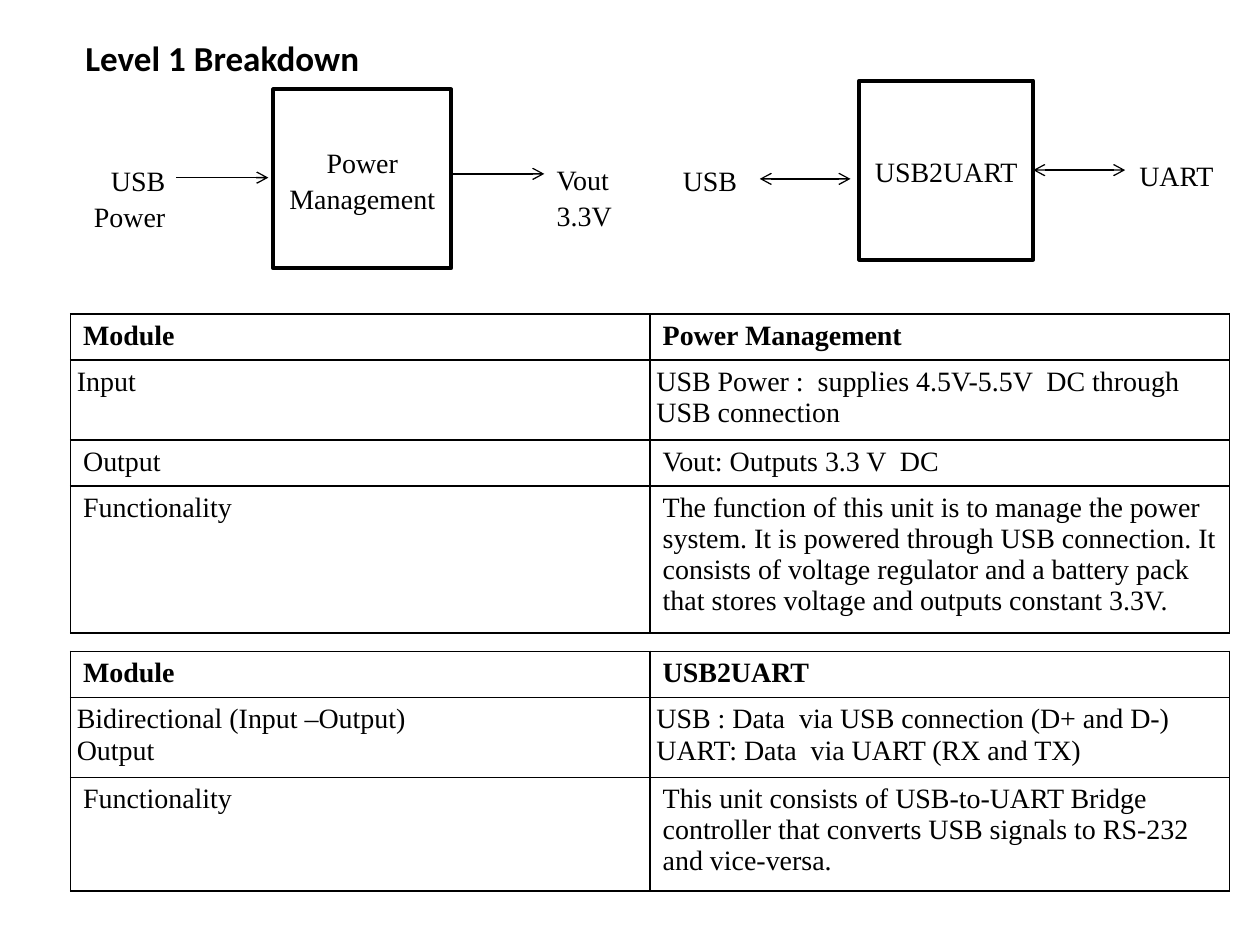
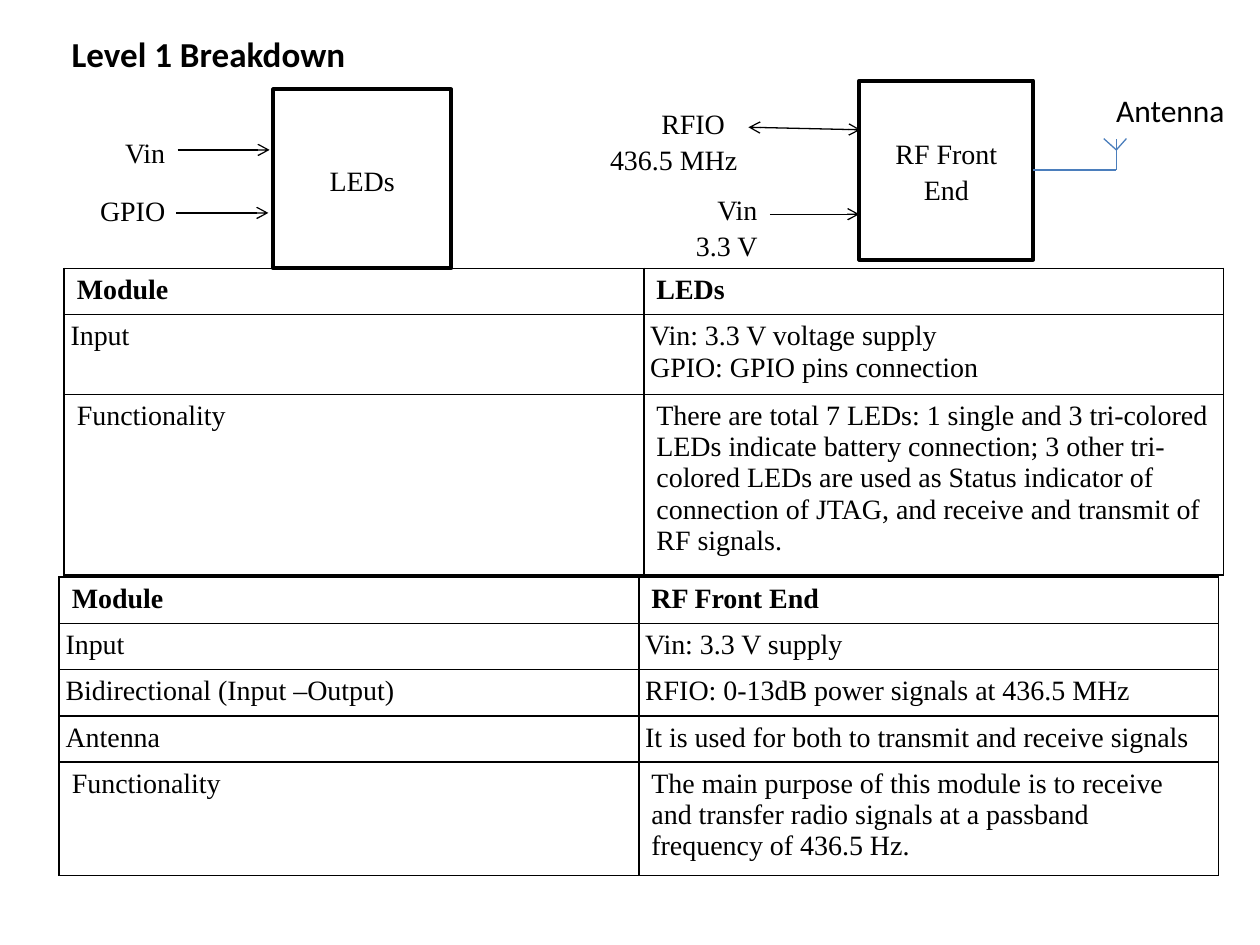
import dataclasses

import lxml.etree
import pptx
import pptx.dml.color
import pptx.enum.shapes
import pptx.enum.text
import pptx.oxml.ns
import pptx.util

Inches, Pt = pptx.util.Inches, pptx.util.Pt
qn = pptx.oxml.ns.qn
ALIGN = pptx.enum.text.PP_ALIGN


@dataclasses.dataclass(frozen=True)
class Theme:
    """Colours, fonts and sizes shared by the slides."""

    ink: str = "000000"
    paper: str = "FFFFFF"
    antenna: str = "4B7EBC"
    serif: str = "Times New Roman"
    sans: str = "Calibri"
    body: float = 16
    caption: float = 18
    title: float = 20
    row_line: float = 17.7
    block_spacing: float = 1.07
    block_line: float = 2.25
    wire_line: float = 0.75
    table_line: float = 1


@dataclasses.dataclass(frozen=True)
class Row:
    """One table row, with its line count and side inset."""

    name: str
    text: str
    lines: int = 1
    inset: float = 0.1
    bold: bool = False


@dataclasses.dataclass(frozen=True)
class Label:
    """A signal name, placed from the corner of its block."""

    text: str
    box: tuple
    align: int = ALIGN.RIGHT
    first_indent: float = 0


@dataclasses.dataclass(frozen=True)
class Wire:
    """A signal arrow, placed from the corner of its block."""

    start: tuple
    end: tuple
    both: bool = False
    joined: bool = False


THEME = Theme()
TIGHT = 0.05
LEFT_BLOCK = (2.17, 0.71, 1.41, 1.42)
RIGHT_BLOCK = (6.82, 0.64, 1.38, 1.42)


def rgb(value):
    """Return a colour from its hex code."""
    return pptx.dml.color.RGBColor.from_string(value)


def write(tf, text, *, font=THEME.serif, size=THEME.body, bold=False,
          align=ALIGN.LEFT, spacing=None):
    """Fill a text frame, one paragraph per line of text."""
    for i, line in enumerate(text.split("\n")):
        p = tf.add_paragraph() if i else tf.paragraphs[0]
        p.alignment = align
        p.line_spacing = spacing
        r = p.add_run()
        r.text = line
        r.font.name, r.font.size, r.font.bold = font, Pt(size), bold
        r.font.color.rgb = rgb(THEME.ink)


def add_free_text(s, box, text, **style):
    """Add a text box that does not wrap."""
    tf = s.shapes.add_textbox(*map(Inches, box)).text_frame
    tf.word_wrap = False
    tf.auto_size = pptx.enum.text.MSO_AUTO_SIZE.SHAPE_TO_FIT_TEXT
    write(tf, text, font=THEME.sans, **style)


def add_line(s, start, end, *, color=THEME.ink, arrows=(), source=None):
    """Add a straight line, optionally joined to the right side of a block."""
    c = s.shapes.add_connector(pptx.enum.shapes.MSO_CONNECTOR.STRAIGHT,
                               *map(Inches, (*start, *end)))
    if source is not None:
        c.begin_connect(source, 3)
    c.line.color.rgb = rgb(color)
    c.line.width = Pt(THEME.wire_line)
    ln = c.line._get_or_add_ln()
    for tag in arrows:
        lxml.etree.SubElement(ln, qn(tag), type="arrow")
    lxml.etree.SubElement(c._element.spPr, qn("a:effectLst"))


def add_label(s, x, y, label):
    """Add a signal name relative to a block corner."""
    dx, dy, w, h = label.box
    sp = s.shapes.add_textbox(*map(Inches, (x + dx, y + dy, w, h)))
    sp.fill.solid()
    sp.fill.fore_color.rgb = rgb(THEME.paper)
    tf = sp.text_frame
    tf.word_wrap = True
    write(tf, label.text, align=label.align, spacing=THEME.block_spacing)
    if label.first_indent:
        p = tf.paragraphs[0]
        p.alignment = ALIGN.LEFT
        p._p.get_or_add_pPr().set("marL", str(Inches(label.first_indent)))


def add_block(s, box, name, labels, wires):
    """Draw a module block with its signals and return the block."""
    x, y = box[:2]
    sp = s.shapes.add_shape(pptx.enum.shapes.MSO_SHAPE.RECTANGLE,
                            *map(Inches, box))
    sp.shadow.inherit = False
    sp.fill.solid()
    sp.fill.fore_color.rgb = rgb(THEME.paper)
    sp.line.color.rgb = rgb(THEME.ink)
    sp.line.width = Pt(THEME.block_line)
    sp.text_frame.word_wrap = True
    sp.text_frame.vertical_anchor = pptx.enum.text.MSO_ANCHOR.MIDDLE
    write(sp.text_frame, name, align=ALIGN.CENTER, spacing=THEME.block_spacing)
    for label in labels:
        add_label(s, x, y, label)
    for wire in wires:
        start, end = ((x + dx, y + dy) for dx, dy in (wire.start, wire.end))
        arrows = ("a:headEnd", "a:tailEnd") if wire.both else ("a:tailEnd",)
        add_line(s, start, end, arrows=arrows,
                 source=sp if wire.joined else None)
    return sp


def add_antenna(s, x, y, block):
    """Draw the antenna with its mast foot at x, y, fed by the block."""
    foot, top, fork = (x, y), (x, y - 0.25), (x, y - 0.16)
    add_line(s, (x - 0.66, y), foot, color=THEME.antenna, source=block)
    for start, end in ((foot, top), ((x - 0.1, y - 0.25), fork),
                       (fork, (x + 0.08, y - 0.25))):
        add_line(s, start, end, color=THEME.antenna)
    add_free_text(s, (x - 0.1, y - 0.68, 1.07, 0.4), "Antenna",
                  size=THEME.caption)


def set_borders(cell):
    """Draw the four borders of a table cell."""
    tcPr = cell._tc.get_or_add_tcPr()
    for i, tag in enumerate(("a:lnL", "a:lnR", "a:lnT", "a:lnB")):
        ln = lxml.etree.Element(qn(tag), w=str(Pt(THEME.table_line)))
        fill = lxml.etree.SubElement(ln, qn("a:solidFill"))
        lxml.etree.SubElement(fill, qn("a:srgbClr"), val=THEME.ink)
        tcPr.insert(i, ln)


def add_module_table(s, x, y, module, rows, w=9.2):
    """Add the table that describes a module."""
    rows = [Row("Module", module, bold=True), *rows]
    heights = [Inches(0.1) + Pt(THEME.row_line * row.lines) for row in rows]
    table = s.shapes.add_table(len(rows), 2, Inches(x), Inches(y), Inches(w),
                               sum(heights)).table
    table.first_row = table.horz_banding = False
    for tr, row, height in zip(table.rows, rows, heights):
        tr.height = height
        for cell, text in zip(tr.cells, (row.name, row.text)):
            cell.margin_left = cell.margin_right = Inches(row.inset)
            cell.margin_top = cell.margin_bottom = Inches(0.05)
            cell.fill.background()
            set_borders(cell)
            write(cell.text_frame, text, bold=row.bold)


def add_slide(prs, x, y):
    """Add a blank slide with the title at x, y."""
    s = prs.slides.add_slide(prs.slide_layouts[6])
    add_free_text(s, (x, y, 2.4, 0.44), "Level 1 Breakdown",
                  size=THEME.title, bold=True)
    return s


def build_power_and_uart(prs):
    """Build the slide on power management and the UART bridge."""
    s = add_slide(prs, 0.58, 0.24)
    add_module_table(s, 0.56, 2.49, "Power Management", [
        Row("Input", "USB Power :  supplies 4.5V-5.5V  DC through USB connection",
            2, TIGHT),
        Row("Output", "Vout: Outputs 3.3 V  DC"),
        Row("Functionality", "The function of this unit is to manage the power "
            "system. It is powered through USB connection. It consists of "
            "voltage regulator and a battery pack that stores voltage and "
            "outputs constant 3.3V.", 4)])
    add_module_table(s, 0.56, 5.17, "USB2UART", [
        Row("Bidirectional (Input –Output)\nOutput",
            "USB : Data  via USB connection (D+ and D-)\n"
            "UART: Data  via UART (RX and TX)", 2, TIGHT),
        Row("Functionality", "This unit consists of USB-to-UART Bridge "
            "controller that converts USB signals to RS-232 and vice-versa.", 3)])
    add_block(s, LEFT_BLOCK, "Power\nManagement",
              [Label("Vout\n3.3V", (2.15, 0.51, 0.73, 0.39), ALIGN.LEFT),
               Label("USB Power", (-1.74, 0.52, 0.98, 0.38))],
              [Wire((-0.77, 0.7), (-0.04, 0.7)),
               Wire((1.41, 0.67), (2.15, 0.67))])
    add_block(s, RIGHT_BLOCK, "USB2UART",
              [Label("UART", (1.89, 0.55, 1.02, 0.33)),
               Label("USB", (-1.64, 0.59, 0.91, 0.38), ALIGN.CENTER)],
              [Wire((-0.79, 0.78), (-0.07, 0.78), both=True),
               Wire((1.38, 0.71), (2.11, 0.71), both=True, joined=True)])


def build_leds_and_rf(prs):
    """Build the slide on the LEDs and the RF front end."""
    s = add_slide(prs, 0.47, 0.21)
    add_module_table(s, 0.51, 2.13, "LEDs", [
        Row("Input", "Vin: 3.3 V voltage supply\nGPIO: GPIO pins connection",
            2, TIGHT),
        Row("Functionality", "There are total 7 LEDs: 1 single and 3 "
            "tri-colored LEDs indicate battery connection; 3 other tri-colored "
            "LEDs are used as Status indicator of connection of JTAG, and "
            "receive and transmit of RF signals.", 5)])
    add_module_table(s, 0.47, 4.58, "RF Front End", [
        Row("Input", "Vin: 3.3 V supply", inset=TIGHT),
        Row("Bidirectional (Input –Output)",
            "RFIO: 0-13dB power signals at 436.5 MHz", inset=TIGHT),
        Row("Antenna", "It is used for both to transmit and receive signals",
            inset=TIGHT),
        Row("Functionality", "The main purpose of this module is to receive "
            "and transfer radio signals at a passband frequency of 436.5 Hz.",
            3)])
    add_block(s, LEFT_BLOCK, "LEDs",
              [Label("GPIO", (-1.49, 0.76, 0.73, 0.39)),
               Label("Vin", (-1.74, 0.3, 0.98, 0.38))],
              [Wire((-0.76, 0.48), (-0.03, 0.48)),
               Wire((-0.77, 0.98), (-0.04, 0.98))])
    rf = add_block(s, RIGHT_BLOCK, "RF Front End",
                   [Label("RFIO\n436.5 MHz", (-2.17, 0.14, 1.3, 0.63),
                          first_indent=0.5),
                    Label("Vin\n3.3 V", (-1.62, 0.82, 0.91, 0.38))],
                   [Wire((-0.88, 0.37), (0.01, 0.39), both=True),
                    Wire((-0.71, 1.06), (0, 1.06))])
    add_antenna(s, 8.86, 1.35, rf)


def main():
    """Build and save the presentation."""
    prs = pptx.Presentation()
    prs.slide_width, prs.slide_height = Inches(10), Inches(7.5)
    build_power_and_uart(prs)
    build_leds_and_rf(prs)
    prs.save("out.pptx")


if __name__ == "__main__":
    main()
